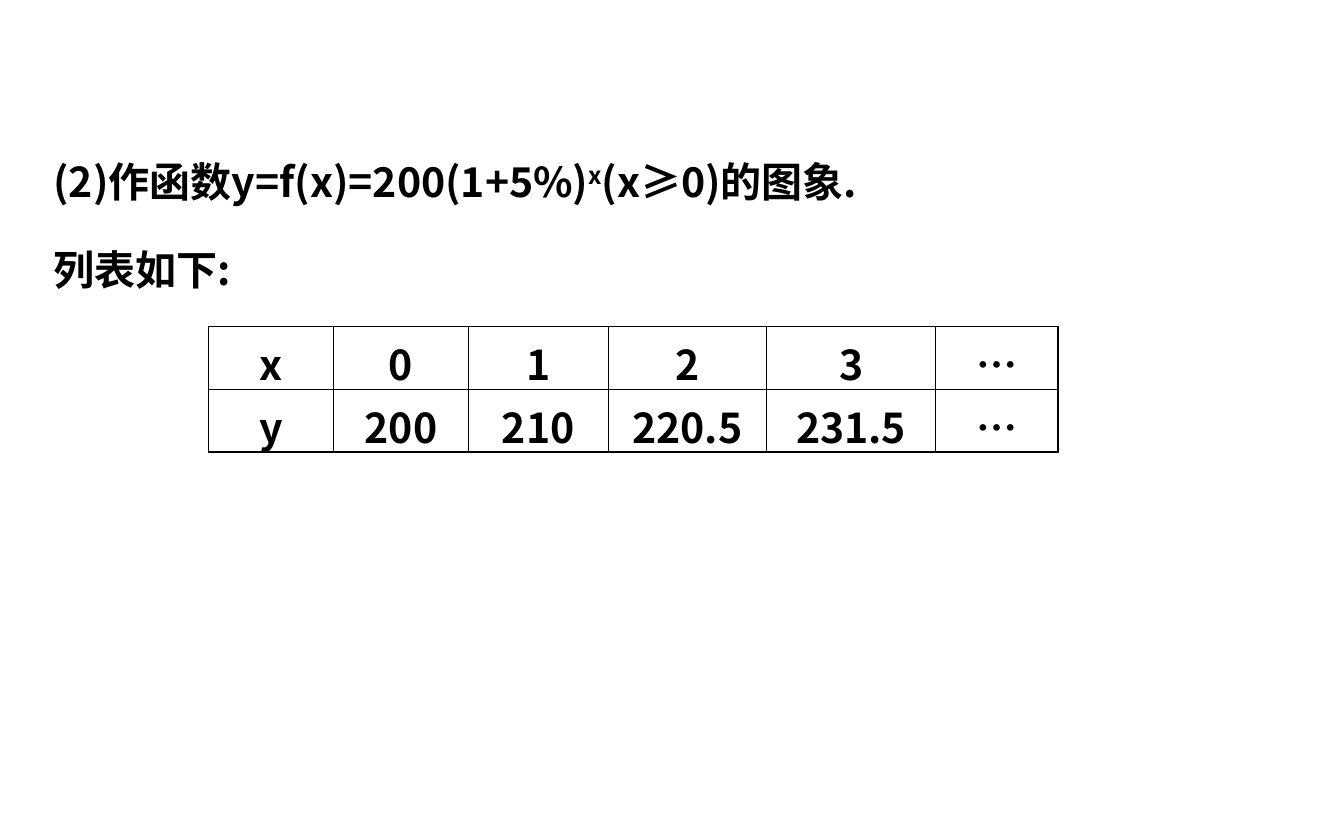
from typing import NamedTuple

from lxml import etree
from pptx import Presentation
from pptx.dml.color import RGBColor
from pptx.enum import text
from pptx.oxml import ns
from pptx.util import Pt

BLACK = RGBColor(0, 0, 0)
FONT = "Noto Sans CJK SC"
THIN, THICK = 0.45, 0.96


class Column(NamedTuple):
    width: float
    x: str
    y: str


COLUMNS = [
    Column(67, "x", "y"),
    Column(72, "0", "200"),
    Column(75, "1", "210"),
    Column(85, "2", "220.5"),
    Column(90.5, "3", "231.5"),
    Column(65.5, "…", "…"),
]
ROW_HEIGHT = 33.6


def add_run(p, content: str, *, size: float = 22, bold: bool = True,
            color: RGBColor = BLACK, baseline: int = 0) -> None:
    r = p.add_run()
    r.text = content
    r.font.size, r.font.bold, r.font.name = Pt(size), bold, FONT
    r.font.color.rgb = color
    rPr = r._r.get_or_add_rPr()
    etree.SubElement(rPr, ns.qn("a:ea"), typeface=FONT)
    if baseline:
        rPr.set("baseline", str(baseline))


def set_border(cell, side: str, width: float) -> None:
    tcPr = cell._tc.get_or_add_tcPr()
    ln = etree.SubElement(tcPr, ns.qn(f"a:ln{side}"), w=str(Pt(width)))
    fill = etree.SubElement(ln, ns.qn("a:solidFill"))
    etree.SubElement(fill, ns.qn("a:srgbClr"), val=str(BLACK))


def add_statement(slide) -> None:
    box = slide.shapes.add_textbox(Pt(21.6), Pt(59), Pt(679), Pt(102.2))
    tf = box.text_frame
    tf.word_wrap = True
    p = tf.paragraphs[0]
    p.line_spacing = 1.8
    add_run(p, "(2)作函数y=f(x)=200(1+5%)")
    add_run(p, "x", baseline=30000)
    add_run(p, "(x≥0)的图象.")
    p = tf.add_paragraph()
    p.line_spacing = 1.8
    add_run(p, "列表如下:")


def add_values(slide, columns: list[Column]) -> None:
    rows = list(zip(*((c.x, c.y) for c in columns)))
    last_row, last_col = len(rows) - 1, len(columns) - 1
    table = slide.shapes.add_table(
        len(rows), len(columns), Pt(111.8), Pt(174.8),
        Pt(sum(c.width for c in columns)), Pt(ROW_HEIGHT * len(rows))).table
    table.first_row = table.horz_banding = False
    for col, column in zip(table.columns, columns):
        col.width = Pt(column.width)
    for i, values in enumerate(rows):
        table.rows[i].height = Pt(ROW_HEIGHT)
        for j, value in enumerate(values):
            cell = table.cell(i, j)
            cell.vertical_anchor = text.MSO_ANCHOR.MIDDLE
            outer = {"L": j == 0, "R": j == last_col,
                     "T": i == 0, "B": i == last_row}
            for side, is_outer in outer.items():
                set_border(cell, side, THICK if is_outer else THIN)
            cell.fill.background()
            p = cell.text_frame.paragraphs[0]
            p.alignment = text.PP_ALIGN.CENTER
            add_run(p, value)


def main() -> None:
    prs = Presentation()
    prs.slide_width, prs.slide_height = Pt(720), Pt(450)
    slide = prs.slides.add_slide(prs.slide_layouts[6])
    add_statement(slide)
    add_values(slide, COLUMNS)
    prs.save("out.pptx")


if __name__ == "__main__":
    main()
